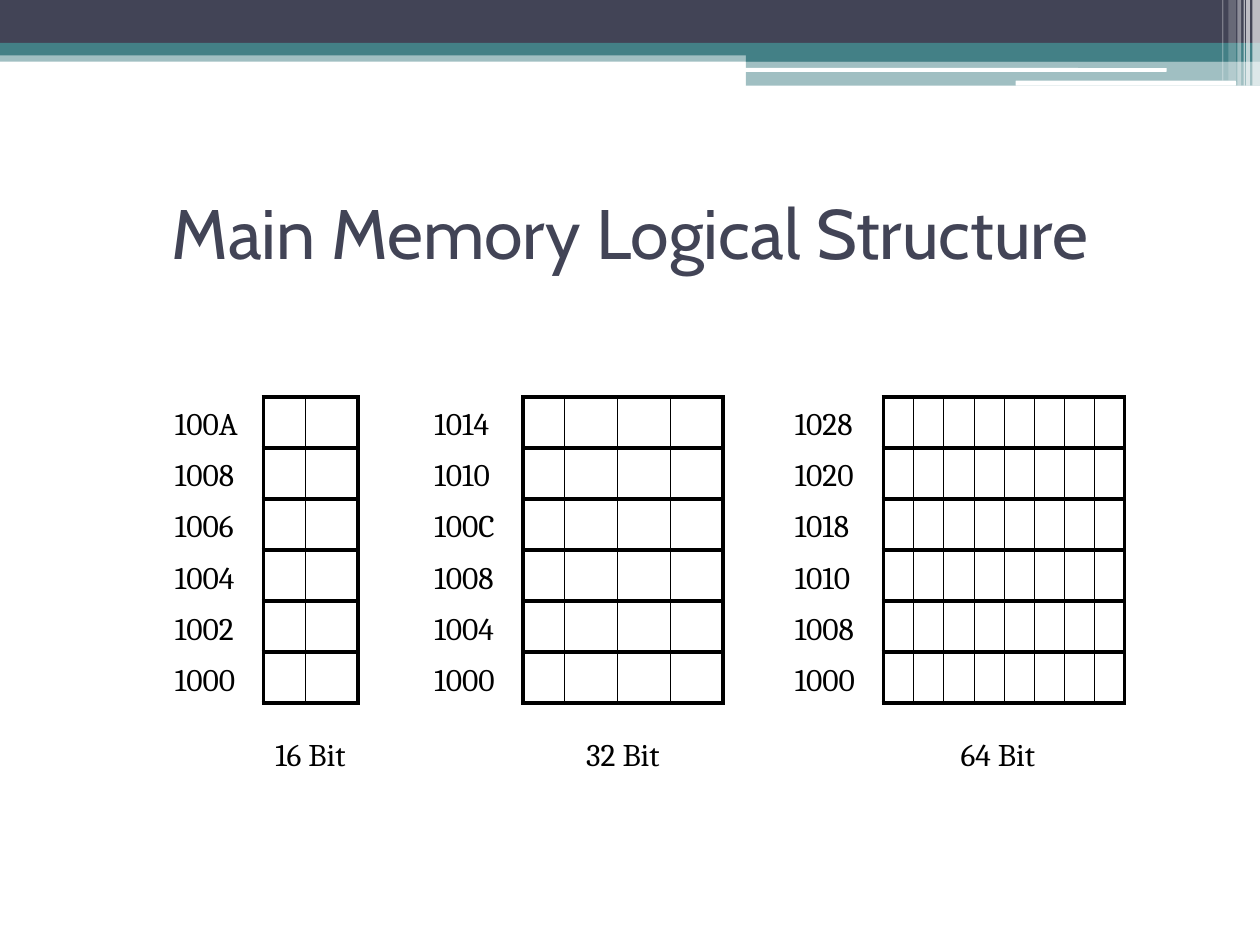
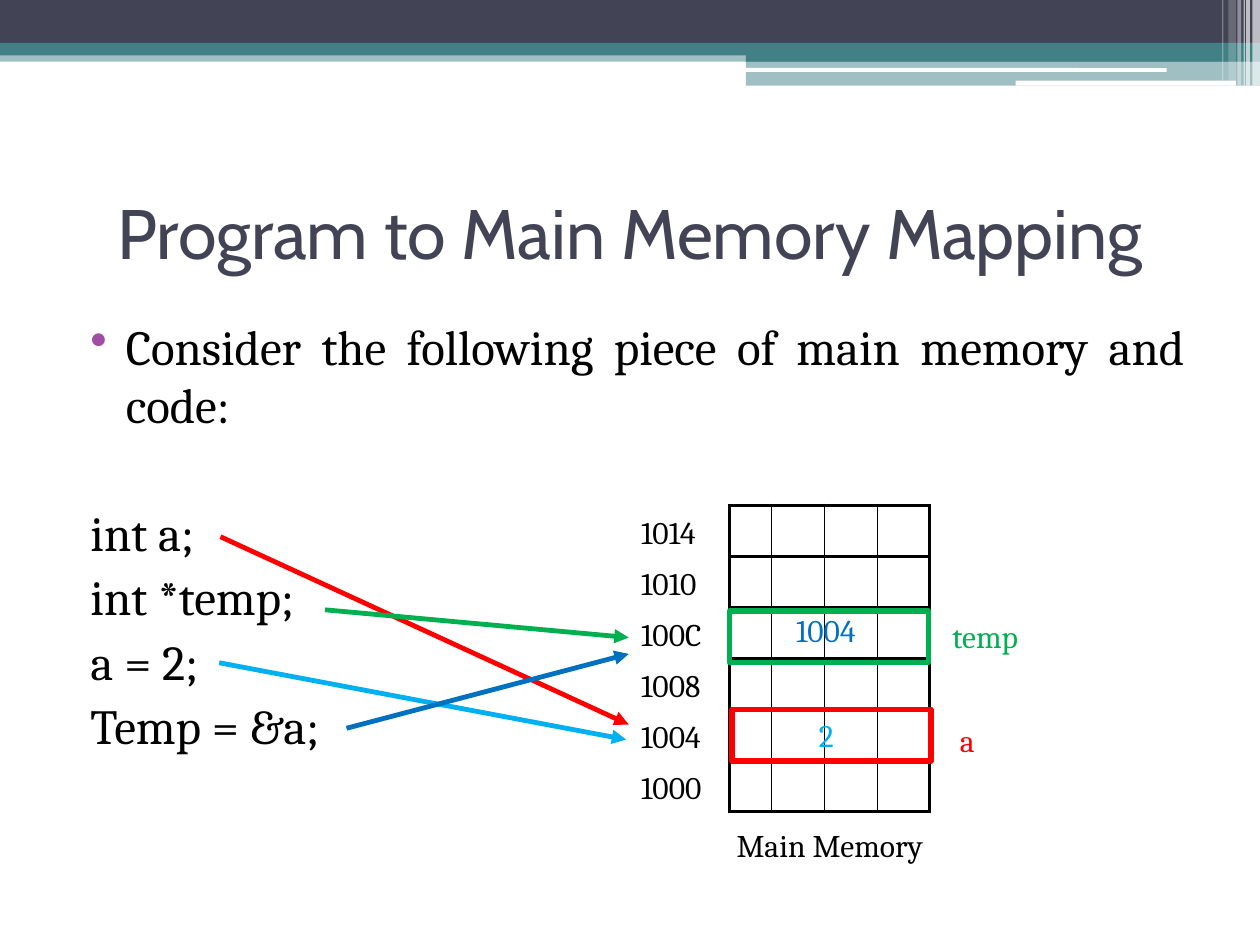
from lxml.etree import SubElement
from pptx import Presentation
from pptx.dml.color import RGBColor
from pptx.enum.shapes import MSO_CONNECTOR, MSO_SHAPE
from pptx.enum.text import MSO_ANCHOR, PP_ALIGN
from pptx.oxml.ns import qn
from pptx.util import Inches, Pt

NAVY, TEAL, WHITE, BLACK = "424456", "438086", "FFFFFF", "000000"
PURPLE, RED, GREEN, SKY, BLUE = "A04DA3", "FF0000", "00B050", "00B0F0", "0070C0"
TITLE_FONT, BODY_FONT = "Cabin", "Cambria"
ROW_HEIGHT = 0.405
COLUMNS_16 = [0.33, 0.42]
COLUMNS_32 = [0.33] + [0.42] * 3
COLUMNS_64 = [0.2275] * 8
ADDRESSES_32 = ["1014", "1010", "100C", "1008", "1004", "1000"]

# shape, left, top, width, height, colour, opacity in percent
BANDS = [
    (MSO_SHAPE.RECTANGLE, 0, 0.4, 10, 0.09, TEAL, 50),
    (MSO_SHAPE.RECTANGLE, 0, 0, 10, 0.34, NAVY, 100),
    (MSO_SHAPE.RECTANGLE, 0, 0.34, 10, 0.1, TEAL, 100),
    (MSO_SHAPE.RECTANGLE, 5.92, 0.39, 4.08, 0.1, TEAL, 100),
    (MSO_SHAPE.RECTANGLE, 5.92, 0.48, 4.08, 0.2, TEAL, 50),
    (MSO_SHAPE.ROUNDED_RECTANGLE, 5.91, 0.54, 3.35, 0.03, WHITE, 100),
    (MSO_SHAPE.ROUNDED_RECTANGLE, 8.06, 0.64, 1.75, 0.04, WHITE, 100),
    (MSO_SHAPE.RECTANGLE, 9.94, 0, 0.06, 0.68, WHITE, 65),
    (MSO_SHAPE.RECTANGLE, 9.89, 0, 0.03, 0.68, WHITE, 65),
    (MSO_SHAPE.RECTANGLE, 9.87, 0, 0.01, 0.68, WHITE, 60),
    (MSO_SHAPE.RECTANGLE, 9.82, 0, 0.03, 0.68, WHITE, 40),
    (MSO_SHAPE.RECTANGLE, 9.75, 0, 0.06, 0.64, WHITE, 20),
    (MSO_SHAPE.RECTANGLE, 9.7, 0, 0.01, 0.64, WHITE, 30),
]


def add_text(slide, text, left, top, width=0.8, height=0.4, color=BLACK,
             font=BODY_FONT, size=18, align=PP_ALIGN.LEFT):
    box = slide.shapes.add_textbox(Inches(left), Inches(top), Inches(width), Inches(height))
    box.text_frame.word_wrap = True
    box.text_frame.vertical_anchor = MSO_ANCHOR.MIDDLE
    paragraph = box.text_frame.paragraphs[0]
    paragraph.text = text
    paragraph.alignment = align
    paragraph.font.name = font
    paragraph.font.size = Pt(size)
    paragraph.font.color.rgb = RGBColor.from_string(color)


def add_memory(slide, left, top, widths, addresses):
    """Draw a grid of memory bytes with the address of each row on its left."""
    table = slide.shapes.add_table(
        len(addresses), len(widths), Inches(left), Inches(top),
        Inches(sum(widths)), Inches(ROW_HEIGHT * len(addresses))).table
    table.first_row = table.horz_banding = False
    for column, width in zip(table.columns, widths):
        column.width = Inches(width)
    last = len(widths) - 1
    for row, address in enumerate(addresses):
        table.rows[row].height = Inches(ROW_HEIGHT)
        for column in range(len(widths)):
            cell = table.cell(row, column)
            cell.margin_top = cell.margin_bottom = 0
            properties = cell._tc.get_or_add_tcPr()
            borders = {"a:lnL": 2.25 if column == 0 else 0.25,
                       "a:lnR": 2.25 if column == last else 0.25,
                       "a:lnT": 2.25, "a:lnB": 2.25}
            for side, points in borders.items():
                border = SubElement(properties, qn(side), w=str(Pt(points)))
                fill = SubElement(border, qn("a:solidFill"))
                SubElement(fill, qn("a:srgbClr"), val=BLACK)
            cell.fill.background()
        add_text(slide, address, left - 0.8, top + 0.01 + row * ROW_HEIGHT)


presentation = Presentation()
presentation.slide_width, presentation.slide_height = Inches(10), Inches(7.5)

# Shared bands and titles
slides = []
for title in ["Main Memory Logical Structure", "Program to Main Memory Mapping"]:
    slide = presentation.slides.add_slide(presentation.slide_layouts[6])
    for kind, left, top, width, height, color, opacity in BANDS:
        band = slide.shapes.add_shape(
            kind, Inches(left), Inches(top), Inches(width), Inches(height))
        band.shadow.inherit = False
        band.line.fill.background()
        band.fill.solid()
        band.fill.fore_color.rgb = RGBColor.from_string(color)
        if opacity < 100:
            fill_color = band.element.spPr.find(qn("a:solidFill")).find(qn("a:srgbClr"))
            SubElement(fill_color, qn("a:alpha"), val=str(opacity * 1000))
    add_text(slide, title, 0.5, 1.25, 9, 1.17, NAVY, TITLE_FONT, 40, PP_ALIGN.CENTER)
    slides.append(slide)
structure_slide, mapping_slide = slides

# Slide 1: three word sizes
for caption, left, widths, addresses in [
    ("16 Bit", 2.09, COLUMNS_16, ["100A", "1008", "1006", "1004", "1002", "1000"]),
    ("32 Bit", 4.15, COLUMNS_32, ADDRESSES_32),
    ("64 Bit", 7.01, COLUMNS_64, ["1028", "1020", "1018", "1010", "1008", "1000"]),
]:
    add_memory(structure_slide, left, 3.15, widths, addresses)
    add_text(structure_slide, caption, left + sum(widths) / 2 - 0.5, 5.78, 1,
             align=PP_ALIGN.CENTER)

# Slide 2: code beside the memory
body = mapping_slide.shapes.add_textbox(Inches(0.5), Inches(2.46), Inches(9), Inches(4.73))
body.text_frame.word_wrap = True
lines = ["Consider the following piece of main memory and code:",
         "int a;", "int *temp;", "a = 2;", "Temp = &a;"]
for index, line in enumerate(lines):
    paragraph = body.text_frame.paragraphs[0] if index == 0 else body.text_frame.add_paragraph()
    paragraph.text = line
    paragraph.alignment = PP_ALIGN.JUSTIFY
    paragraph.space_before = Pt(39.5 if index == 1 else 3)
    properties = paragraph._p.get_or_add_pPr()
    properties.set("marL", str(Inches(0.4 if index == 0 else 0.12)))
    properties.set("indent", str(Inches(-0.28 if index == 0 else 0)))
    if index == 0:
        bullet_color = SubElement(properties, qn("a:buClr"))
        SubElement(bullet_color, qn("a:srgbClr"), val=PURPLE)
        SubElement(properties, qn("a:buChar"), char="•")
    paragraph.font.name = BODY_FONT
    paragraph.font.size = Pt(28)
    paragraph.font.color.rgb = RGBColor.from_string(BLACK)

add_memory(mapping_slide, 5.79, 4.01, COLUMNS_32, ADDRESSES_32)
add_text(mapping_slide, "Main Memory", 5.55, 6.51, 2.07, align=PP_ALIGN.CENTER)

for left, top, color in [(5.81, 5.63, RED), (5.79, 4.85, GREEN)]:
    variable_frame = mapping_slide.shapes.add_shape(
        MSO_SHAPE.RECTANGLE, Inches(left), Inches(top), Inches(1.58), Inches(0.41))
    variable_frame.shadow.inherit = False
    variable_frame.fill.background()
    variable_frame.line.color.rgb = RGBColor.from_string(color)
    variable_frame.line.width = Pt(3)

for start_x, start_y, end_x, end_y, color in [
    (1.75, 4.26, 4.99, 5.75, RED),
    (2.58, 4.84, 4.99, 5.06, GREEN),
    (1.74, 5.26, 4.97, 5.87, SKY),
    (2.75, 5.78, 4.99, 5.19, BLUE),
]:
    arrow = mapping_slide.shapes.add_connector(
        MSO_CONNECTOR.STRAIGHT, Inches(start_x), Inches(start_y), Inches(end_x), Inches(end_y))
    arrow.line.color.rgb = RGBColor.from_string(color)
    arrow.line.width = Pt(2.75)
    SubElement(arrow.line._get_or_add_ln(), qn("a:tailEnd"), type="triangle")
    SubElement(arrow.element.spPr, qn("a:effectLst"))

for text, left, top, color in [
    ("a", 7.52, 5.67, RED),
    ("temp", 7.46, 4.85, GREEN),
    ("2", 6.4, 5.63, SKY),
    ("1004", 6.22, 4.8, BLUE),
]:
    add_text(mapping_slide, text, left, top, color=color)

presentation.save("out.pptx")
